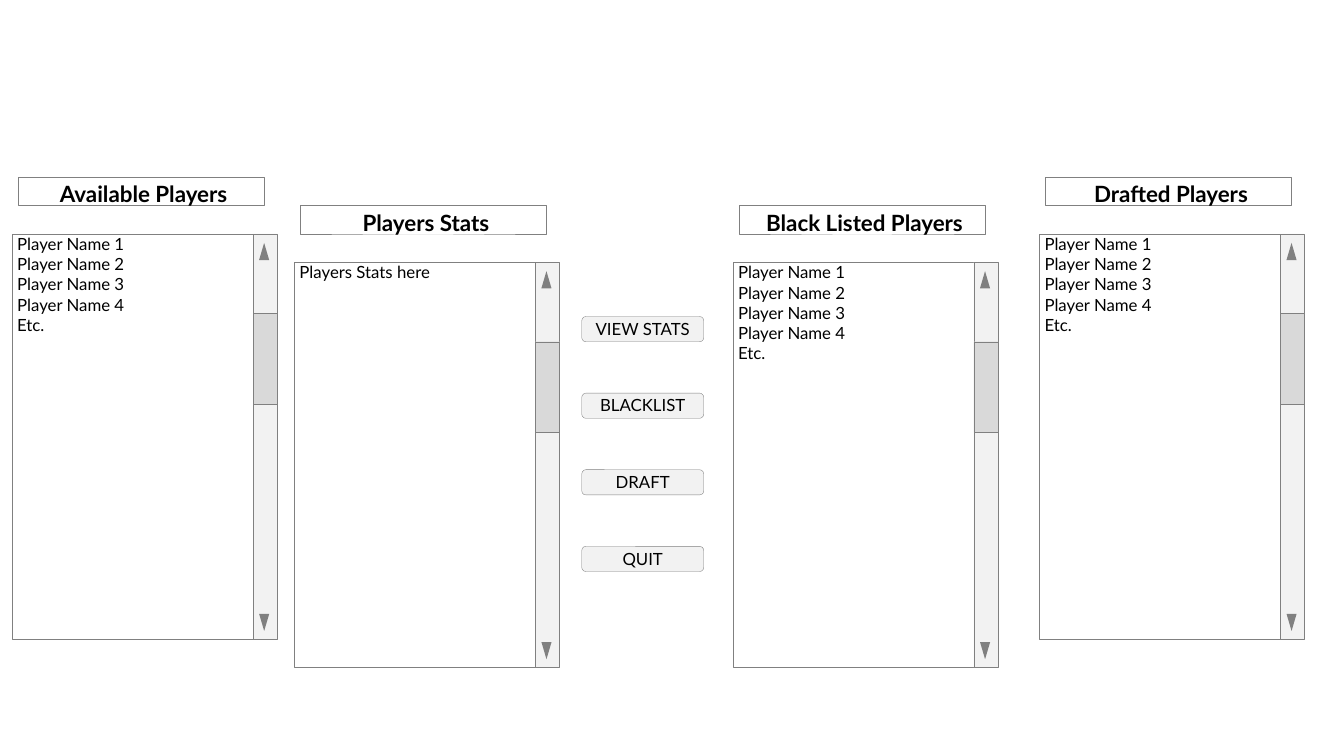
from dataclasses import dataclass

from pptx import Presentation
from pptx.dml.color import RGBColor
from pptx.enum.shapes import MSO_SHAPE
from pptx.enum.text import MSO_ANCHOR, PP_ALIGN
from pptx.util import Inches, Pt

RECTANGLE = MSO_SHAPE.RECTANGLE
ROUNDED = MSO_SHAPE.ROUNDED_RECTANGLE
TRIANGLE = MSO_SHAPE.ISOSCELES_TRIANGLE
TOP, MIDDLE = MSO_ANCHOR.TOP, MSO_ANCHOR.MIDDLE
LEFT, CENTER = PP_ALIGN.LEFT, PP_ALIGN.CENTER


@dataclass(frozen=True)
class Theme:
    """Colours, font and type sizes of the wireframe."""
    font: str = "Lato"
    text: RGBColor = RGBColor(0, 0, 0)
    paper: RGBColor = RGBColor(255, 255, 255)
    track: RGBColor = RGBColor(0xF2, 0xF2, 0xF2)
    thumb: RGBColor = RGBColor(0xD9, 0xD9, 0xD9)
    outline: RGBColor = RGBColor(0x80, 0x80, 0x80)
    hairline: Pt = Pt(0.25)
    body: Pt = Pt(12)
    heading: Pt = Pt(16)


theme = Theme()


def add_box(shapes, kind, box, fill, outlined=True):
    """Add a flat preset shape, with a hairline unless outlined is False."""
    shape = shapes.add_shape(kind, *(Inches(length) for length in box))
    shape.shadow.inherit = False
    shape.fill.solid()
    shape.fill.fore_color.rgb = fill
    if outlined:
        shape.line.color.rgb = theme.outline
        shape.line.width = theme.hairline
    else:
        shape.line.fill.background()
    return shape


def write_lines(shape, lines, size, insets, alignment=LEFT, anchor=TOP, bold=False):
    """Write one paragraph per line, with insets as left, top, right, bottom."""
    frame = shape.text_frame
    sides = ("margin_left", "margin_top", "margin_right", "margin_bottom")
    settings = dict(zip(sides, (Inches(inset) for inset in insets)))
    settings.update(word_wrap=True, vertical_anchor=anchor)
    for name, value in settings.items():
        setattr(frame, name, value)
    frame.text = "\n".join(lines)
    for paragraph in frame.paragraphs:
        paragraph.alignment = alignment
        for name, value in {"name": theme.font, "size": size, "bold": bold}.items():
            setattr(paragraph.font, name, value)
        paragraph.font.color.rgb = theme.text


presentation = Presentation()
presentation.slide_width = Inches(13.33)
presentation.slide_height = Inches(7.5)
slide = presentation.slides.add_slide(presentation.slide_layouts[6])

# List panels: columns across the slide, on an upper and a lower row
upper_row, lower_row = 2.32, 2.6
panel_width, panel_height = 2.62, 4.02
bar_offset, bar_width = 2.39, 0.24
thumb_offset, thumb_height = 0.79, 0.9
arrow_inset, arrow_width, arrow_height = 0.06, 0.1, 0.17
heading_inset, heading_rise = 0.06, 0.56
heading_width, heading_height = 2.44, 0.28
player_names = [f"Player Name {number}" for number in range(1, 5)] + ["Etc."]

panels = [
    ("Available Players", 0.12, upper_row, player_names),
    ("Players Stats", 2.92, lower_row, ["Players Stats here"]),
    ("Black Listed Players", 7.27, lower_row, player_names),
    ("Drafted Players", 10.31, upper_row, player_names),
]
for title, left, top, lines in panels:
    panel = slide.shapes.add_group_shape()
    add_box(panel.shapes, RECTANGLE, (left, top, panel_width, panel_height), theme.paper)

    text_height = 0.2 * len(lines) + 0.02
    entries = panel.shapes.add_textbox(
        Inches(left), Inches(top), Inches(panel_width), Inches(text_height))
    write_lines(entries, lines, theme.body, (0.05, 0, 0, 0.02))

    bar_left = left + bar_offset
    add_box(panel.shapes, RECTANGLE, (bar_left, top, bar_width, panel_height), theme.track)
    add_box(panel.shapes, RECTANGLE,
            (bar_left, top + thumb_offset, bar_width, thumb_height), theme.thumb)
    for arrow_offset, rotation in ((0.09, 0), (3.77, 180)):
        arrow = add_box(panel.shapes, TRIANGLE,
                        (bar_left + arrow_inset, top + arrow_offset,
                         arrow_width, arrow_height),
                        theme.outline, outlined=False)
        arrow.rotation = rotation

    heading = add_box(slide.shapes, RECTANGLE,
                      (left + heading_inset, top - heading_rise,
                       heading_width, heading_height), theme.paper)
    write_lines(heading, [title], theme.heading, (0.05, 0.03, 0, 0), CENTER, bold=True)

# Buttons: one column at an equal pitch
button_left, first_button, button_pitch = 5.77, 3.14, 0.76
button_width, button_height = 1.21, 0.25
for row, label in enumerate(["VIEW STATS", "BLACKLIST", "DRAFT", "QUIT"]):
    button = add_box(slide.shapes, ROUNDED,
                     (button_left, first_button + row * button_pitch,
                      button_width, button_height), theme.track)
    write_lines(button, [label], theme.body, (0.1, 0, 0.1, 0.01), CENTER, MIDDLE)

presentation.save("out.pptx")
